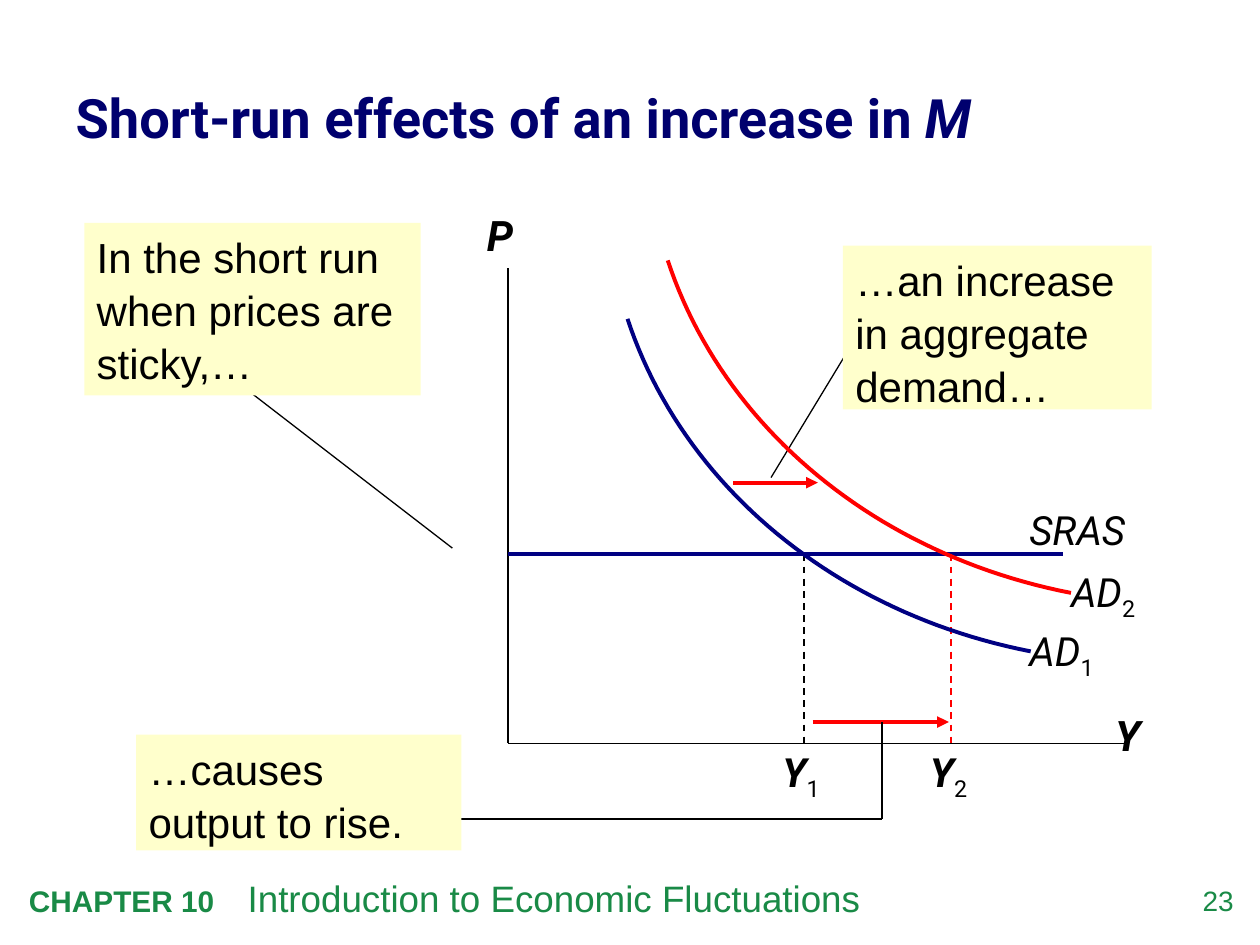
from dataclasses import dataclass, field

from lxml import etree
from pptx import Presentation
from pptx.dml.color import RGBColor
from pptx.enum.dml import MSO_LINE
from pptx.enum.shapes import MSO_CONNECTOR, MSO_SHAPE
from pptx.enum.text import MSO_ANCHOR, PP_ALIGN
from pptx.oxml.ns import qn
from pptx.util import Pt

STRAIGHT = MSO_CONNECTOR.STRAIGHT
RECT = MSO_SHAPE.RECTANGLE
DASH = MSO_LINE.DASH
TOP, MIDDLE = MSO_ANCHOR.TOP, MSO_ANCHOR.MIDDLE
LEFT, CENTER, RIGHT = PP_ALIGN.LEFT, PP_ALIGN.CENTER, PP_ALIGN.RIGHT

BLACK = RGBColor(0x00, 0x00, 0x00)
RED = RGBColor(0xFF, 0x00, 0x00)
NAVY = RGBColor(0x00, 0x00, 0x82)
INK = RGBColor(0x00, 0x00, 0x6E)
GREEN = RGBColor(0x19, 0x8A, 0x46)
CREAM = RGBColor(0xFF, 0xFF, 0xCC)

SIDES = ("margin_left", "margin_top", "margin_right", "margin_bottom")
INSET = (7.2, 3.6, 7.2, 3.6)
SNUG = (0, 3.6, 0, 3.6)
BARE = (0, 0, 0, 0)


@dataclass
class Run:
    text: str
    size: float
    font: str = "Roboto"
    color: RGBColor = BLACK
    bold: bool = False
    slant: bool = False
    sub: bool = False


@dataclass
class Label:
    box: tuple
    runs: list
    inset: tuple = INSET
    form: dict = field(default_factory=dict)
    anchor: MSO_ANCHOR = TOP
    fill: RGBColor | None = None
    tab: float | None = None


@dataclass
class Line:
    start: tuple
    end: tuple
    color: RGBColor = BLACK
    width: float = 0.75
    dash: bool = False
    arrow: bool = False


@dataclass
class Curve:
    color: RGBColor
    shift: tuple = (0, 0)


BEND = ((589, 372.2), (478.1, 350.6), (390.2, 277.9), (358.6, 182.2))
STEPS = 48

AXIS_X, AXIS_Y = 290.2, 424.8
PRICE = 316.8
OUT1, OUT2 = 459.4, 543.6
RISE = 412.6
TURN = (504, 468)

CURVES = [Curve(NAVY), Curve(RED, (23, -33.4))]

LINES = [
    Line((AXIS_X, 153.4), (AXIS_X, AXIS_Y), width=1),
    Line((AXIS_X, AXIS_Y), (643.7, AXIS_Y), width=1),
    Line((258.5, 313.2), (141.8, 223.2)),
    Line((464.4, RISE), (542.2, RISE), RED, 2.25, arrow=True),
    Line(TURN, (TURN[0], RISE)),
    Line((257.8, TURN[1]), TURN),
    Line((AXIS_X, PRICE), (607.7, PRICE), NAVY, 2.25),
    Line((OUT2, PRICE), (OUT2, AXIS_Y), RED, 1, dash=True),
    Line((OUT1, PRICE), (OUT1, AXIS_Y), width=1, dash=True),
    Line((419, 275.8), (467.3, 275.8), RED, 2.25, arrow=True),
    Line((486, 198), (440.6, 272.9)),
]


def mark(box: tuple, name: str, num: str = "", bold: bool = False) -> Label:
    """Return a label for a curve or an output level."""
    runs = [Run(name, 23, bold=bold, slant=True)]
    if num:
        runs.append(Run(num, 23, sub=True))
    return Label(box, runs, BARE if bold or not num else SNUG)


def axis(box: tuple, name: str) -> Label:
    """Return a centred axis name."""
    return Label(box, [Run(name, 24, bold=True, slant=True)],
                 form={"alignment": CENTER})


def note(box: tuple, text: str) -> Label:
    """Return a filled callout."""
    return Label(box, [Run(text, 24, "Arial")],
                 form={"alignment": LEFT, "line_spacing": 1.05}, fill=CREAM)


LABELS = [
    Label((665.3, 504.7, 39.6, 23), [Run("23", 16, "Arial", GREEN)],
          BARE, {"alignment": RIGHT}),
    Label((9.4, 496.8, 589, 32.4),
          [Run("CHAPTER 10\t", 17, "Arial", GREEN, True),
           Run("Introduction to Economic Fluctuations", 21, "Arial", GREEN)],
          tab=125),
    Label((43.2, 18.7, 614.2, 94.3),
          [Run("Short-run effects of an increase in ", 31, color=INK, bold=True),
           Run("M", 31, color=INK, bold=True, slant=True)],
          BARE, {"line_spacing": 1.05}, MIDDLE),
    axis((614.2, 401.8, 60.5, 36), "Y"),
    axis((264.2, 115.9, 43.2, 36), "P"),
    mark((588.2, 354.2, 46.8, 34.6), "AD", "1"),
    mark((612, 320.4, 46.8, 34.6), "AD", "2"),
    mark((588.2, 288.7, 72, 31), "SRAS"),
    mark((447.1, 427, 30.2, 34.6), "Y", "1", True),
    mark((531.4, 427, 30.2, 34.6), "Y", "2", True),
    note((48.2, 127.4, 192.2, 98.6), "In the short run when prices are sticky,…"),
    note((77.8, 419.8, 185.8, 66.2), "…causes output to rise."),
    note((481.7, 140.4, 176.4, 93.6), "…an increase in aggregate demand…"),
]


def apply(item, form: dict) -> None:
    """Set each format value on an object."""
    for key, value in form.items():
        setattr(item, key, value)


def draw_line(shapes, line: Line) -> None:
    """Draw a straight line with optional dash and arrowhead."""
    ends = [Pt(v) for v in (*line.start, *line.end)]
    shape = shapes.add_connector(STRAIGHT, *ends)
    shape.line.color.rgb = line.color
    shape.line.width = Pt(line.width)
    if line.dash:
        shape.line.dash_style = DASH
    if line.arrow:
        etree.SubElement(shape.line._get_or_add_ln(), qn("a:tailEnd"),
                         type="triangle")
    etree.SubElement(shape._element.spPr, qn("a:effectLst"))


def bend(t: float, shift: tuple) -> tuple:
    """Return the point at t on the shifted cubic demand curve."""
    s = 1 - t
    parts = (s ** 3, 3 * s * s * t, 3 * s * t * t, t ** 3)
    return tuple(Pt(sum(w * p[i] for w, p in zip(parts, BEND)) + shift[i])
                 for i in (0, 1))


def draw_curve(shapes, curve: Curve) -> None:
    """Draw a demand curve as a fine open outline."""
    spots = [bend(i / STEPS, curve.shift) for i in range(STEPS + 1)]
    pen = shapes.build_freeform(*spots[0])
    pen.add_line_segments(spots[1:], close=False)
    shape = pen.convert_to_shape()
    shape.shadow.inherit = False
    shape.fill.background()
    shape.line.color.rgb = curve.color
    shape.line.width = Pt(2.25)


def draw_label(shapes, label: Label) -> None:
    """Draw a text box or a filled callout."""
    box = [Pt(v) for v in label.box]
    if label.fill is None:
        shape = shapes.add_textbox(*box)
    else:
        shape = shapes.add_shape(RECT, *box)
        shape.shadow.inherit = False
        shape.fill.solid()
        shape.fill.fore_color.rgb = label.fill
        shape.line.fill.background()
    frame = shape.text_frame
    apply(frame, {"word_wrap": True, "vertical_anchor": label.anchor})
    apply(frame, {side: Pt(v) for side, v in zip(SIDES, label.inset)})
    para = frame.paragraphs[0]
    apply(para, label.form)
    if label.tab:
        tabs = etree.SubElement(para._p.get_or_add_pPr(), qn("a:tabLst"))
        etree.SubElement(tabs, qn("a:tab"), pos=str(Pt(label.tab)), algn="l")
    for part in label.runs:
        run = para.add_run()
        run.text = part.text
        apply(run.font, {"size": Pt(part.size), "name": part.font,
                         "bold": part.bold, "italic": part.slant})
        run.font.color.rgb = part.color
        if part.sub:
            run._r.get_or_add_rPr().set("baseline", "-25000")


def main() -> None:
    """Build the slide and save it."""
    deck = Presentation()
    apply(deck, {"slide_width": Pt(720), "slide_height": Pt(540)})
    shapes = deck.slides.add_slide(deck.slide_layouts[6]).shapes
    for line in LINES:
        draw_line(shapes, line)
    for curve in CURVES:
        draw_curve(shapes, curve)
    for label in LABELS:
        draw_label(shapes, label)
    deck.save("out.pptx")


if __name__ == "__main__":
    main()
